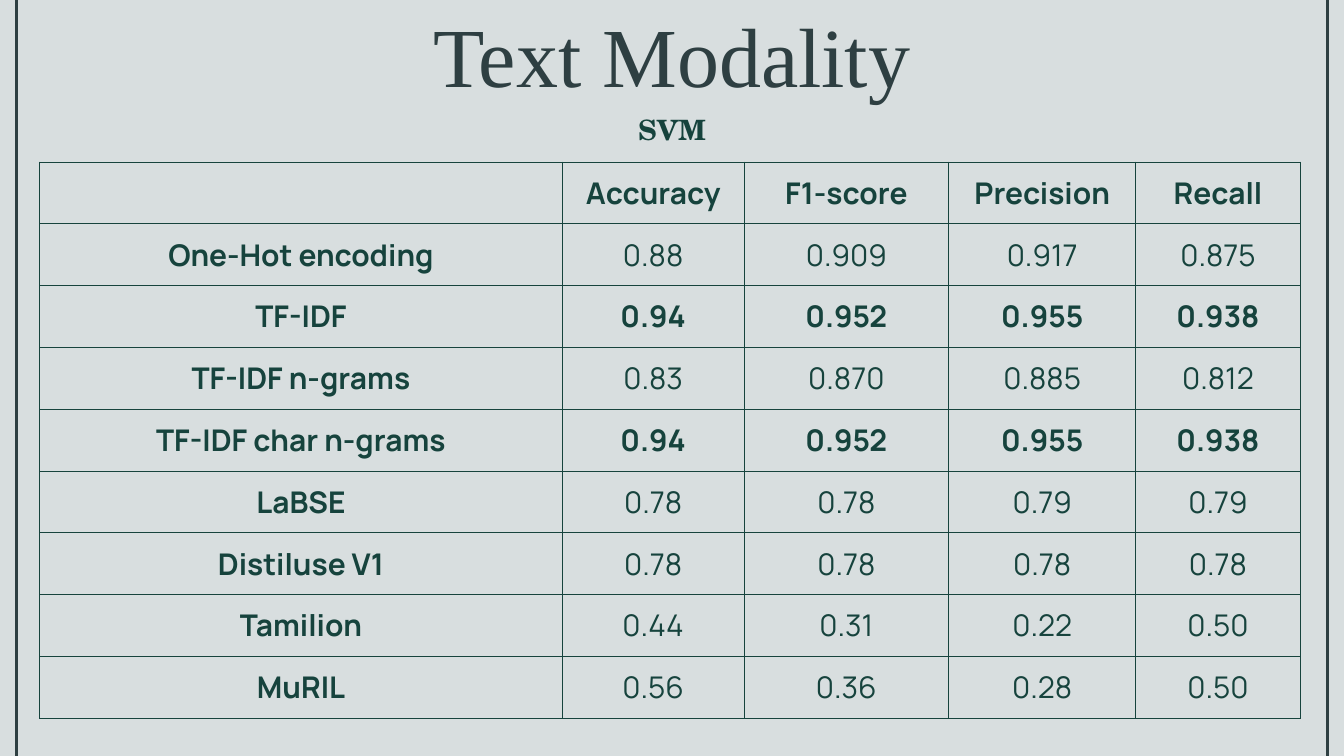
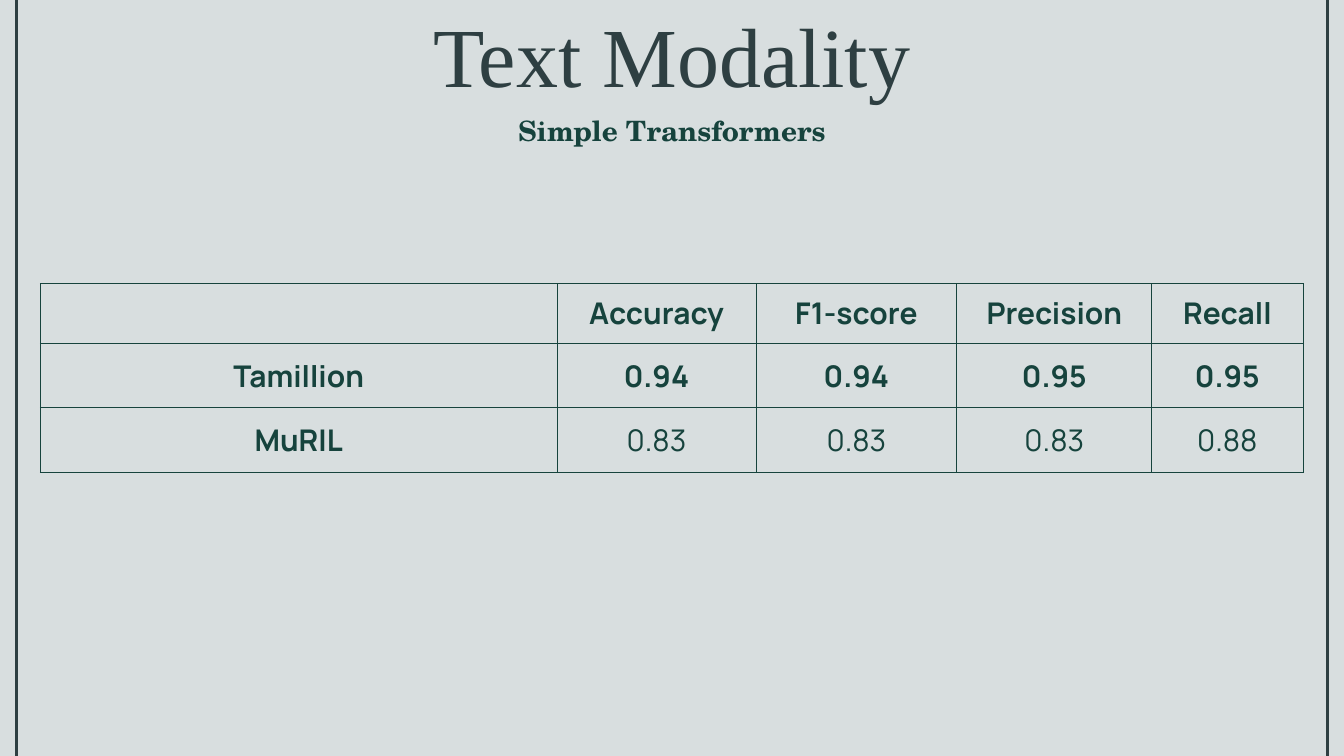
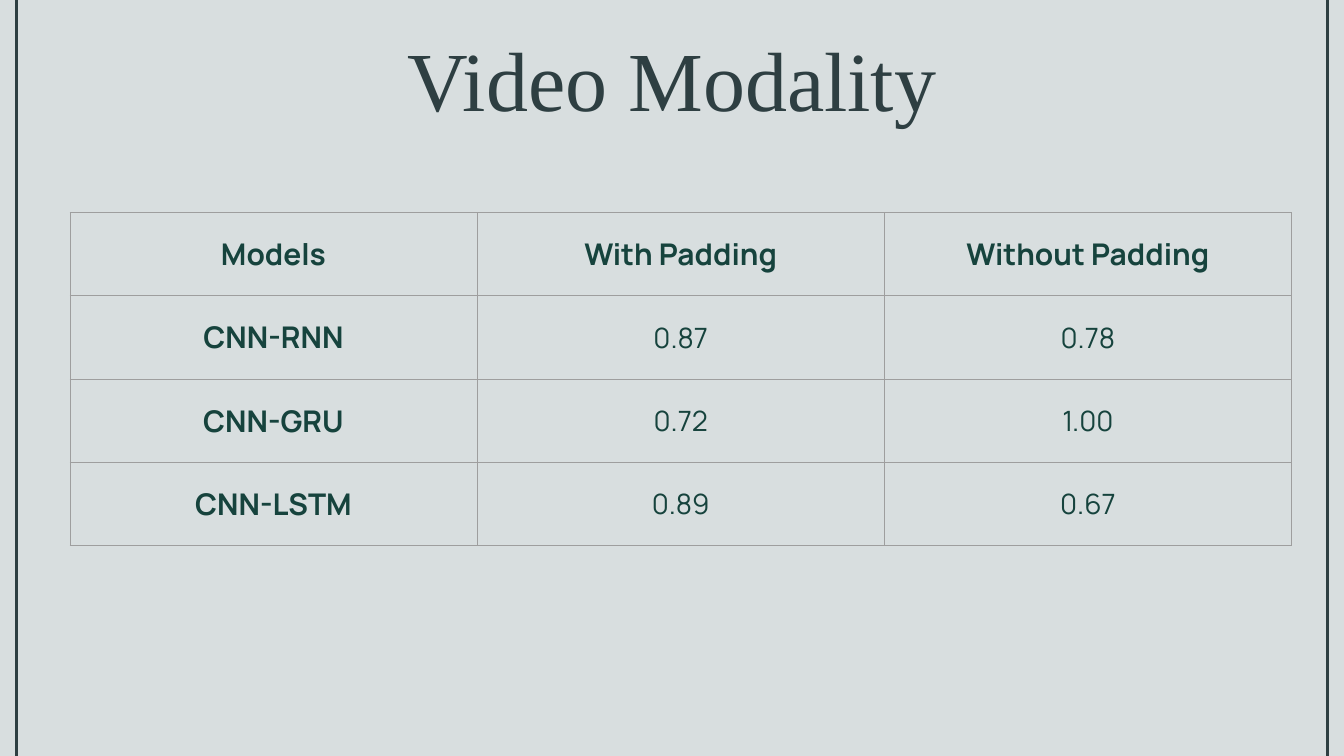
import pptx
import pptx.dml.color
import pptx.enum.shapes
import pptx.enum.text
import pptx.oxml
import pptx.oxml.ns
import pptx.util

Inches = pptx.util.Inches
Pt = pptx.util.Pt
ANCHOR = pptx.enum.text.MSO_ANCHOR

COLORS = {"ground": "D8DEDF", "slate": "2E3F42", "green": "16433D", "gray": "9E9E9E"}
FONTS = {"title": "Times New Roman", "subtitle": "TeX Gyre Schola", "table": "Manrope"}
WIDTH, HEIGHT = 20, 11.25
FRAME_INSET = 0.24
METRICS = ["", "Accuracy", "F1-score", "Precision", "Recall"]


def rgb(name):
    return pptx.dml.color.RGBColor.from_string(COLORS[name])


class Deck:
    def __init__(self):
        self.presentation = pptx.Presentation()
        self.presentation.slide_width = Inches(WIDTH)
        self.presentation.slide_height = Inches(HEIGHT)
        ground = self.presentation.slide_master.background.fill
        ground.solid()
        ground.fore_color.rgb = rgb("ground")
        self.slide = None

    def start_slide(self, title, title_top):
        layout = self.presentation.slide_layouts.get_by_name("Title Only")
        self.slide = self.presentation.slides.add_slide(layout)
        self.title(title, title_top)
        for x in (FRAME_INSET, WIDTH - FRAME_INSET):
            self.frame_line(x)

    def title(self, text, top):
        heading = self.slide.shapes.title
        heading.left, heading.top = Inches(0), Inches(top)
        heading.width, heading.height = Inches(WIDTH), Inches(1.52)
        frame = heading.text_frame
        self.set_box(frame, 0, ANCHOR.TOP)
        frame.auto_size = pptx.enum.text.MSO_AUTO_SIZE.SHAPE_TO_FIT_TEXT
        self.add_text(frame, text, "title", 90, "slate", False, 1.03)

    def subtitle(self, text, top, anchor):
        box = self.slide.shapes.add_textbox(
            Inches(0), Inches(top), Inches(WIDTH), Inches(0.63))
        self.set_box(box.text_frame, 0.1, anchor)
        self.add_text(box.text_frame, text, "subtitle", 30, "green", True, 0.8)

    def frame_line(self, x):
        edge = self.slide.shapes.add_connector(
            pptx.enum.shapes.MSO_CONNECTOR.STRAIGHT,
            Inches(x), Inches(HEIGHT), Inches(x), Inches(0))
        edge.line.color.rgb = rgb("slate")
        edge.line.width = Pt(3)
        edge._element.spPr.append(pptx.oxml.parse_xml(
            f"<a:effectLst {pptx.oxml.ns.nsdecls('a')}/>"))

    def table(self, left, top, widths, heights, rows, best_rows=(),
              border=("green", 1), margins=(0.08, 0.04), value_size=32):
        scores = self.slide.shapes.add_table(
            len(rows), len(widths), Inches(left), Inches(top),
            Inches(sum(widths)), Inches(sum(heights))).table
        scores.first_row = scores.horz_banding = False
        for column, width in zip(scores.columns, widths):
            column.width = Inches(width)
        for row, height in zip(scores.rows, heights):
            row.height = Inches(height)
        for r, values in enumerate(rows):
            for c, text in enumerate(values):
                cell = scores.cell(r, c)
                self.style_cell(cell, border, margins)
                is_label = r == 0 or c == 0
                if text:
                    self.add_text(cell.text_frame, text, "table",
                                  32 if is_label else value_size, "green",
                                  is_label or values[0] in best_rows)

    def style_cell(self, cell, border, margins):
        color, points = border
        cell.margin_left = cell.margin_right = Inches(margins[0])
        cell.margin_top = cell.margin_bottom = Inches(margins[1])
        cell.vertical_anchor = ANCHOR.MIDDLE
        properties = cell._tc.get_or_add_tcPr()
        for side in "LRTB":
            properties.append(pptx.oxml.parse_xml(
                f'<a:ln{side} {pptx.oxml.ns.nsdecls("a")} w="{Pt(points)}">'
                f'<a:solidFill><a:srgbClr val="{COLORS[color]}"/></a:solidFill>'
                f'</a:ln{side}>'))
        cell.fill.background()

    def set_box(self, frame, margin, anchor):
        frame.word_wrap = True
        frame.vertical_anchor = anchor
        frame.margin_left = frame.margin_right = Inches(margin)
        frame.margin_top = frame.margin_bottom = Inches(margin)

    def add_text(self, frame, text, font, size, color, bold, spacing=None):
        paragraph = frame.paragraphs[0]
        paragraph.alignment = pptx.enum.text.PP_ALIGN.CENTER
        paragraph.line_spacing = spacing
        run = paragraph.add_run()
        run.text = text
        run.font.name = FONTS[font]
        run.font.size = Pt(size)
        run.font.bold = bold
        run.font.color.rgb = rgb(color)


def main():
    deck = Deck()

    deck.start_slide("Text Modality", 0.01)
    svm_scores = [
        METRICS,
        ["One-Hot encoding", "0.88", "0.909", "0.917", "0.875"],
        ["TF-IDF", "0.94", "0.952", "0.955", "0.938"],
        ["TF-IDF n-grams", "0.83", "0.870", "0.885", "0.812"],
        ["TF-IDF char n-grams", "0.94", "0.952", "0.955", "0.938"],
        ["LaBSE", "0.78", "0.78", "0.79", "0.79"],
        ["Distiluse V1", "0.78", "0.78", "0.78", "0.78"],
        ["Tamilion", "0.44", "0.31", "0.22", "0.50"],
        ["MuRIL", "0.56", "0.36", "0.28", "0.50"],
    ]
    deck.table(0.59, 2.41, [7.78, 2.7, 3.05, 2.78, 2.45],
               [0.92] * len(svm_scores), svm_scores,
               best_rows=("TF-IDF", "TF-IDF char n-grams"))
    deck.subtitle("SVM", 1.66, ANCHOR.MIDDLE)

    deck.start_slide("Text Modality", 0)
    deck.subtitle("Simple Transformers", 1.69, ANCHOR.TOP)
    transformer_scores = [
        METRICS,
        ["Tamillion", "0.94", "0.94", "0.95", "0.95"],
        ["MuRIL", "0.83", "0.83", "0.83", "0.88"],
    ]
    deck.table(0.6, 4.22, [7.69, 2.96, 2.99, 2.9, 2.25], [0.89, 0.96, 0.96],
               transformer_scores, best_rows=("Tamillion",))

    deck.start_slide("Video Modality", 0.37)
    padding_scores = [
        ["Models", "With Padding", "Without Padding"],
        ["CNN-RNN", "0.87", "0.78"],
        ["CNN-GRU", "0.72", "1.00"],
        ["CNN-LSTM", "0.89", "0.67"],
    ]
    deck.table(1.04, 3.16, [6.06] * 3, [1.24] * len(padding_scores),
               padding_scores, border=("gray", 0.75), margins=(0.1, 0.1),
               value_size=30)

    deck.presentation.save("out.pptx")


if __name__ == "__main__":
    main()
